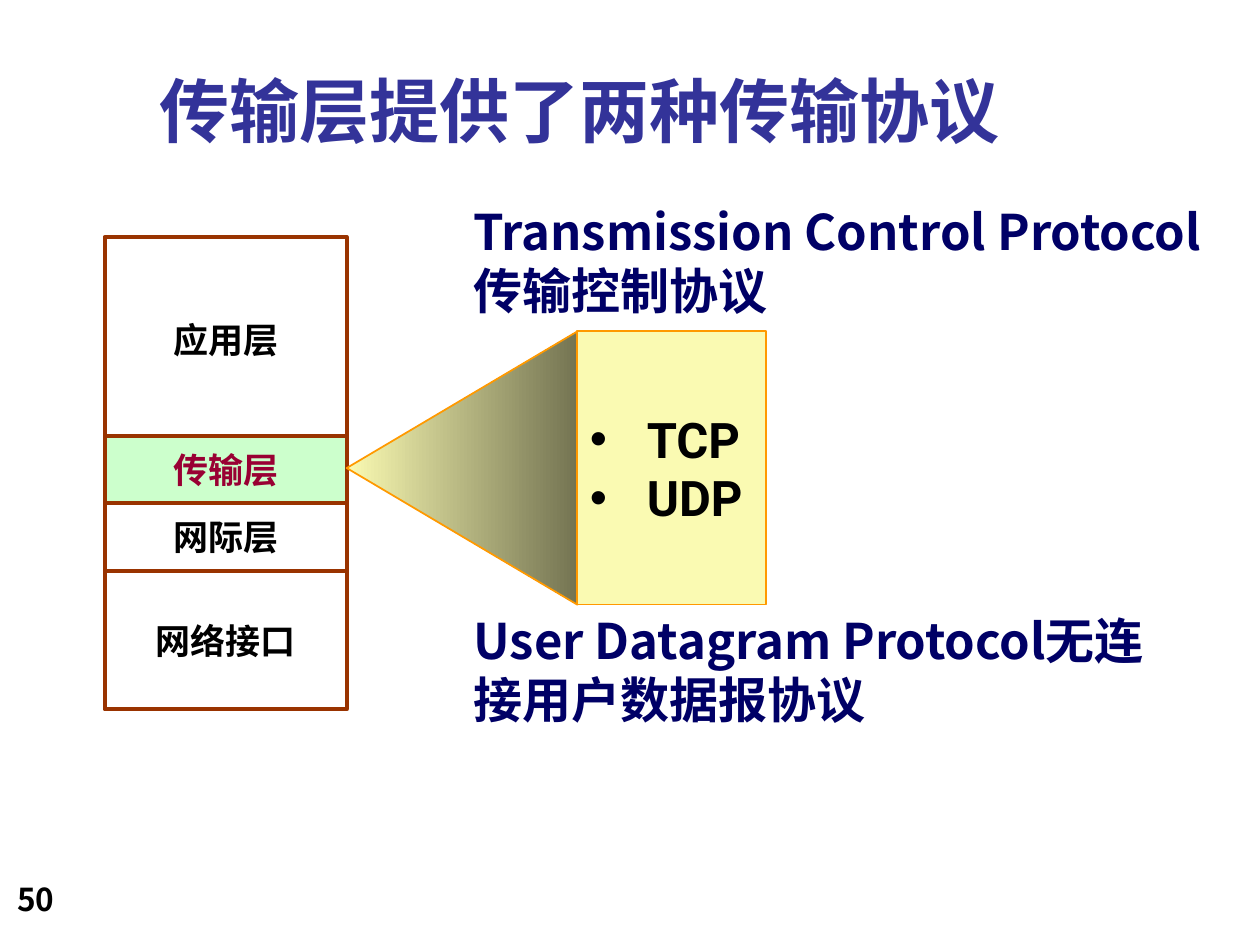
import pptx
import pptx.util
import pptx.dml.color
import pptx.enum.shapes
import pptx.enum.text
import pptx.oxml.ns
from lxml import etree

Cm = pptx.util.Cm
Pt = pptx.util.Pt
Shape = pptx.enum.shapes.MSO_SHAPE
Align = pptx.enum.text.PP_ALIGN
Anchor = pptx.enum.text.MSO_ANCHOR
qn = pptx.oxml.ns.qn

SANS = "Noto Sans CJK SC"
LATIN = "Roboto"
HUES = {
    "title": "333399", "note": "000066", "black": "000000", "white": "FFFFFF",
    "brown": "993300", "green": "CCFFCC", "red": "990033",
    "cream": "FAFAB2", "olive": "747452", "orange": "FF9900",
}


def hue(name):
    return pptx.dml.color.RGBColor.from_string(HUES[name])


def write(shape, lines, size, color, face=SANS, align=Align.LEFT,
          anchor=Anchor.TOP, wrap=True, bullet=False):
    frame = shape.text_frame
    frame.text = "\n".join(lines)
    frame.word_wrap = wrap
    frame.auto_size = pptx.enum.text.MSO_AUTO_SIZE.NONE
    frame.vertical_anchor = anchor
    for para in frame.paragraphs:
        para.alignment = align
        if bullet:
            props = para._p.get_or_add_pPr()
            props.set("marL", str(Cm(1.15)))
            props.set("indent", str(-Cm(1.15)))
            etree.SubElement(props, qn("a:buFont")).set("typeface", "Arial")
            etree.SubElement(props, qn("a:buChar")).set("char", "•")
        font = para.font
        font.size = Pt(size)
        font.bold = True
        font.name = face
        font.color.rgb = hue(color)
        latin = font._element.find(qn("a:latin"))
        east = etree.Element(qn("a:ea"))
        east.set("typeface", SANS)
        latin.addnext(east)


def block(slide, kind, box, fill, line, width):
    shape = slide.shapes.add_shape(kind, *map(Cm, box))
    shape.shadow.inherit = False
    shape.fill.solid()
    shape.fill.fore_color.rgb = hue(fill)
    shape.line.color.rgb = hue(line)
    shape.line.width = Pt(width)
    return shape


def label(slide, box, lines, size, color, **style):
    write(slide.shapes.add_textbox(*map(Cm, box)), lines, size, color, **style)


def head(slide, box, text):
    title = slide.shapes.title
    title.left, title.top, title.width, title.height = map(Cm, box)
    write(title, [text], 40, "title")


def stack(slide, box):
    left, top, width, height = box
    layers = [
        ("应用层", 0, 4.11, "white", "black"),
        ("网络接口", 6.73, height - 6.73, "white", "black"),
        ("网际层", 5.33, 1.4, "white", "black"),
        ("传输层", 4.01, 1.35, "green", "red"),
    ]
    for text, drop, tall, fill, color in layers:
        shape = block(slide, Shape.RECTANGLE, (left, top + drop, width, tall),
                      fill, "brown", 2.25)
        write(shape, [text], 20, color, LATIN, Align.CENTER, Anchor.MIDDLE, False)


def zoom(slide, box):
    left, top, width, height = box
    depth = 4.65
    shift = (height - depth) / 2
    cone = block(slide, Shape.ISOSCELES_TRIANGLE,
                 (left - shift, top + shift, height, depth), "cream", "orange", 1)
    cone.rotation = 270
    cone.fill.gradient()
    cone.fill.gradient_angle = 270
    for stop, name, place in zip(cone.fill.gradient_stops, ("cream", "olive"), (0, 1)):
        stop.color.rgb = hue(name)
        stop.position = place
    panel = block(slide, Shape.RECTANGLE, (left + depth, top, width - depth, height),
                  "cream", "orange", 1)
    write(panel, ["TCP", "UDP"], 28, "black", LATIN, anchor=Anchor.MIDDLE,
          wrap=False, bullet=True)


def notes(slide, box):
    left, top, width, height = box
    label(slide, (left, top, width, 3.81),
          ["Transmission Control Protocol", "传输控制协议"], 28, "note")
    label(slide, (left, top + height - 2.64, 14.81, 2.64),
          ["User Datagram Protocol无连接用户数据报协议"], 28, "note")


def main():
    deck = pptx.Presentation()
    deck.slide_width, deck.slide_height = Cm(25.4), Cm(19.05)
    slide = deck.slides.add_slide(deck.slide_layouts[5])
    head(slide, (2.97, 1.24, 20.96, 1.96), "传输层提供了两种传输协议")
    stack(slide, (2.11, 4.78, 4.88, 9.52))
    zoom(slide, (6.99, 6.68, 8.46, 5.51))
    notes(slide, (9.3, 3.94, 15.24, 10.89))
    label(slide, (0.1, 17.35, 5.28, 1.27), ["50"], 18, "black", anchor=Anchor.BOTTOM)
    deck.save("out.pptx")


if __name__ == "__main__":
    main()
